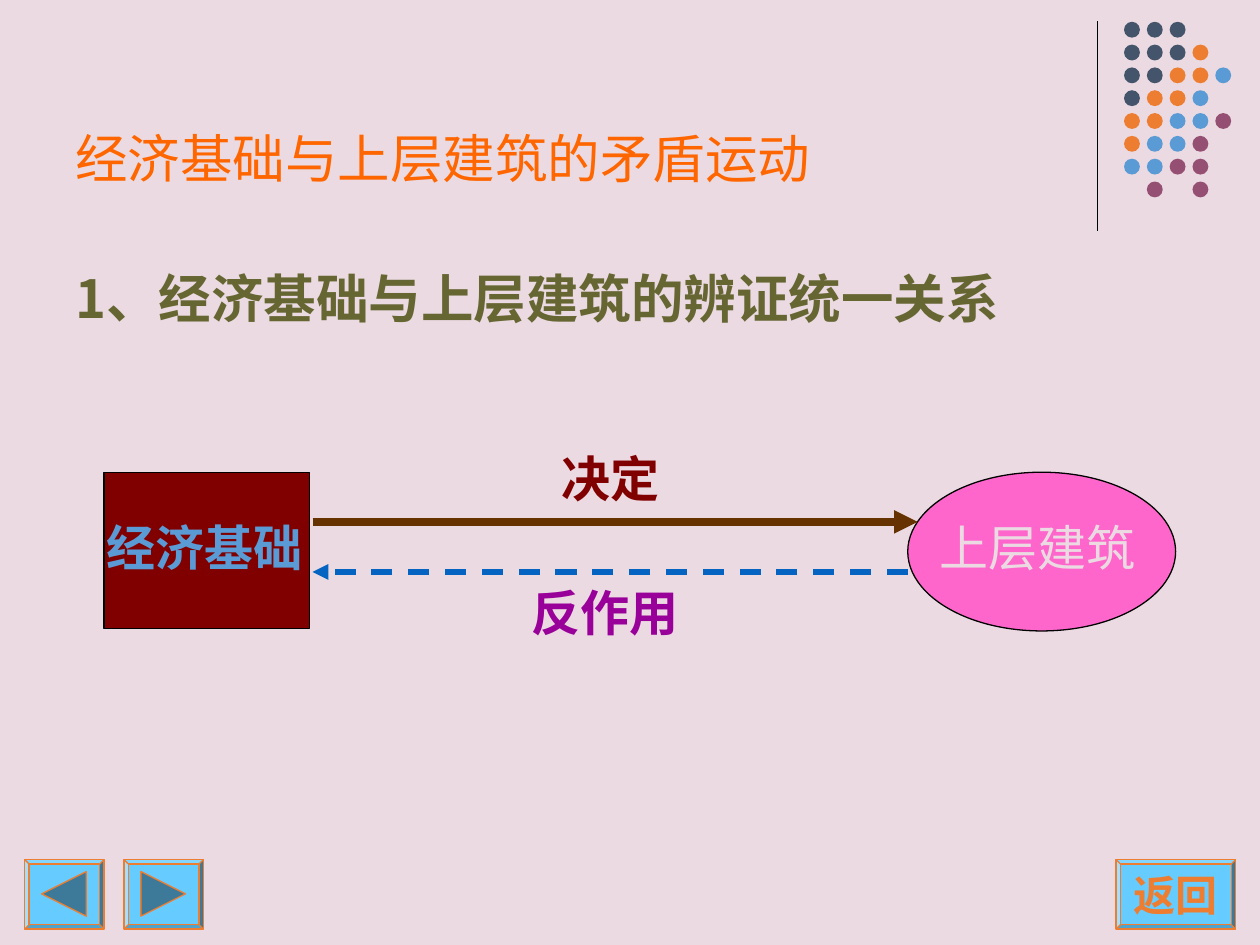
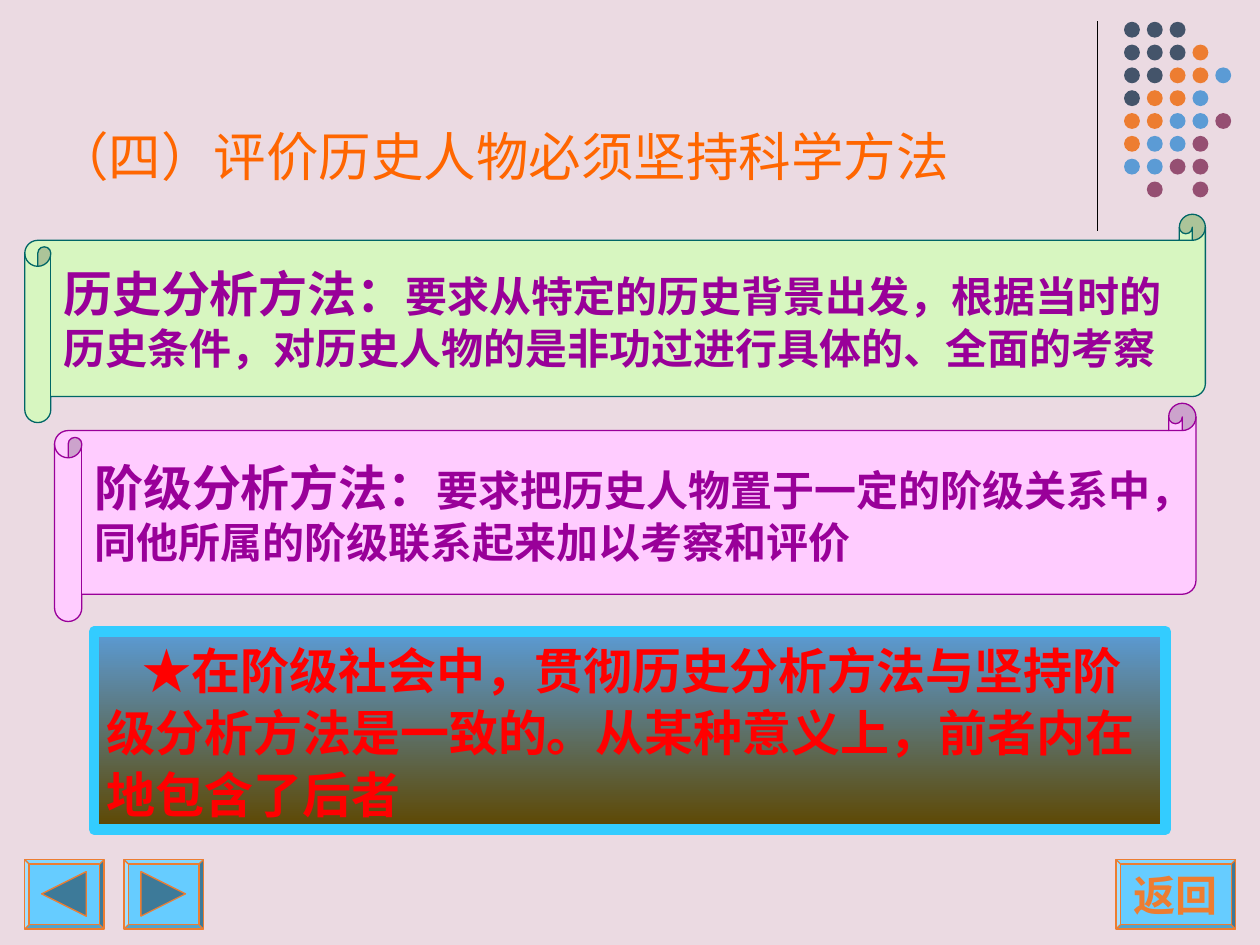
from lxml import etree
from pptx import Presentation
from pptx.dml.color import RGBColor
from pptx.enum.dml import MSO_LINE
from pptx.enum.shapes import MSO_CONNECTOR, MSO_SHAPE
from pptx.enum.text import MSO_ANCHOR, PP_ALIGN
from pptx.oxml.ns import qn
from pptx.util import Cm, Pt

DASH = MSO_LINE.DASH
STRAIGHT = MSO_CONNECTOR.STRAIGHT
RECT, OVAL, BEVEL = MSO_SHAPE.RECTANGLE, MSO_SHAPE.OVAL, MSO_SHAPE.BEVEL
SCROLL, WEDGE = MSO_SHAPE.HORIZONTAL_SCROLL, MSO_SHAPE.ISOSCELES_TRIANGLE
TOP, MIDDLE, BOTTOM = MSO_ANCHOR.TOP, MSO_ANCHOR.MIDDLE, MSO_ANCHOR.BOTTOM
LEFT, CENTER = PP_ALIGN.LEFT, PP_ALIGN.CENTER

PAPER = RGBColor(0xEB, 0xDA, 0xE2)
BLACK = RGBColor(0x00, 0x00, 0x00)
NAVY = RGBColor(0x44, 0x54, 0x6A)
ORANGE = RGBColor(0xED, 0x7D, 0x31)
BLUE = RGBColor(0x5B, 0x9B, 0xD5)
PLUM = RGBColor(0x95, 0x4F, 0x72)
SKY = RGBColor(0x66, 0xCC, 0xFF)
STEEL = RGBColor(0x3D, 0x7A, 0x99)
FLAME = RGBColor(0xFF, 0x66, 0x00)
OLIVE = RGBColor(0x66, 0x66, 0x33)
MAROON = RGBColor(0x80, 0x00, 0x00)
PINK = RGBColor(0xFF, 0x66, 0xCC)
PURPLE = RGBColor(0x99, 0x00, 0x99)
BROWN = RGBColor(0x66, 0x33, 0x00)
COBALT = RGBColor(0x05, 0x63, 0xC1)
MINT = RGBColor(0xD7, 0xF6, 0xC0)
TEAL = RGBColor(0x00, 0x66, 0x66)
LILAC = RGBColor(0xFF, 0xCC, 0xFF)
AZURE = RGBColor(0x33, 0xCC, 0xFF)
EARTH = RGBColor(0x5E, 0x47, 0x00)
RED = RGBColor(0xFF, 0x00, 0x00)

SANS, HAN, SERIF = "Arial", "Noto Sans CJK SC", "Times New Roman"
KANJI = "Noto Sans CJK JP"
DOTS = ("NNN", "NNNO", "NNOOB", "NOOB", "OOBBP", "OBBP", "BBPP", " P P")
HUES = {"N": NAVY, "O": ORANGE, "B": BLUE, "P": PLUM}


class Deck:
    """Holds the shared style and the slide being drawn."""

    def __init__(self):
        self.show = Presentation()
        self.show.slide_width, self.show.slide_height = Cm(25.4), Cm(19.05)
        self.slide = None

    def begin(self, title, box):
        self.slide = self.show.slides.add_slide(self.show.slide_layouts[6])
        fill = self.slide.background.fill
        fill.solid()
        fill.fore_color.rgb = PAPER
        self.line((22.12, 0.43), (22.12, 4.65), BLACK, 0.75)
        self.dots()
        self.button(0.5, 1.6, turn=-90)
        self.button(2.5, 1.6, turn=90)
        back = self.button(22.5, 2.41)
        self.label(back.text_frame, ["返回"], 24, KANJI, ORANGE,
                   align=CENTER, anchor=MIDDLE, wrap=False)
        self.text(title, box, 30, SANS, FLAME, bold=False, anchor=BOTTOM)

    def dots(self):
        for row, marks in enumerate(DOTS):
            for col, mark in enumerate(marks):
                if mark in HUES:
                    box = (22.66 + 0.46 * col, 0.44 + 0.46 * row, 0.32, 0.32)
                    self.shape(OVAL, box, HUES[mark])

    def button(self, left, width, turn=None):
        face = self.shape(BEVEL, (left, 17.33, width, 1.4), SKY, ORANGE)
        face.adjustments[0] = 0.0625
        if turn:
            wedge = self.shape(WEDGE, (left + 0.34, 17.57, 0.9, 0.9),
                               STEEL, ORANGE)
            wedge.rotation = turn
        return face

    def shape(self, kind, box, fill, edge=None, width=0.75):
        item = self.slide.shapes.add_shape(kind, *map(Cm, box))
        item.shadow.inherit = False
        if isinstance(fill, RGBColor):
            item.fill.solid()
            item.fill.fore_color.rgb = fill
        else:
            item.fill.gradient()
            item.fill.gradient_angle = 270
            for stop, color in zip(item.fill.gradient_stops, fill):
                stop.color.rgb = color
        if edge is None:
            item.line.fill.background()
        else:
            item.line.color.rgb = edge
            item.line.width = Pt(width)
        return item

    def line(self, start, end, color, width, dash=None, arrow=False):
        item = self.slide.shapes.add_connector(
            STRAIGHT, *map(Cm, start + end))
        item.line.color.rgb = color
        item.line.width = Pt(width)
        if dash:
            item.line.dash_style = dash
        props = item._element.spPr
        if arrow:
            etree.SubElement(props.find(qn("a:ln")), qn("a:tailEnd"),
                             type="triangle")
        etree.SubElement(props, qn("a:effectLst"))

    def text(self, words, box, size, font, color, **look):
        item = self.slide.shapes.add_textbox(*map(Cm, box))
        self.label(item.text_frame, [words], size, font, color, **look)

    def label(self, frame, lines, size, font, color, bold=True, align=LEFT,
              anchor=TOP, wrap=True, space=None, indent=0):
        frame.word_wrap = wrap
        frame.vertical_anchor = anchor
        frame.text = "\n".join(lines)
        for para in frame.paragraphs:
            para.alignment = align
            if space:
                para.line_spacing = space
            if indent:
                para._p.get_or_add_pPr().set("indent", str(Cm(indent)))
            for run in para.runs:
                self.style(run, size, font, color, bold)

    def style(self, run, size, font, color, bold=True):
        run.font.size = Pt(size)
        run.font.name = font
        run.font.bold = bold
        run.font.color.rgb = color
        east = KANJI if font == KANJI else HAN
        etree.SubElement(run._r.get_or_add_rPr(), qn("a:ea"), typeface=east)

    def scroll(self, box, fill, edge, head, lines):
        item = self.shape(SCROLL, box, fill, edge)
        item.adjustments[0] = 0.125
        frame = item.text_frame
        self.label(frame, [head] + lines[1:], 28, HAN, PURPLE,
                   anchor=MIDDLE, wrap=False)
        for run in frame.paragraphs[1].runs:
            run.font.size = Pt(24)
        rest = frame.paragraphs[0].add_run()
        rest.text = lines[0]
        self.style(rest, 24, HAN, PURPLE)


def relate(deck):
    deck.begin("经济基础与上层建筑的矛盾运动", (1.27, 0.33, 20.95, 3.6))
    deck.text("1、经济基础与上层建筑的辨证统一关系",
              (1.27, 5.23, 22.86, 11.81), 30, HAN, OLIVE)
    deck.shape(RECT, (2.1, 9.52, 4.14, 3.15), MAROON, BLACK)
    deck.shape(OVAL, (18.3, 9.52, 5.4, 3.2), PINK, BLACK)
    deck.text("经济基础", (1.9, 10.3, 4.6, 1.45), 28, SERIF, BLUE)
    deck.text("上层建筑", (18.7, 10.3, 4.6, 1.45), 28, SERIF, PAPER,
              bold=False)
    deck.text("决定", (7.1, 8.92, 10.4, 1.45), 28, SERIF, MAROON,
              align=CENTER)
    deck.text("反作用", (6.9, 11.9, 10.6, 1.15), 28, SERIF, PURPLE,
              align=CENTER, space=0.75)
    deck.line((6.3, 10.52), (18.5, 10.52), BROWN, 4.5, arrow=True)
    deck.line((18.3, 11.53), (6.3, 11.53), COBALT, 3, DASH, True)


def judge(deck):
    deck.begin("（四）评价历史人物必须坚持科学方法", (0.89, 0.71, 23.01, 3.18))
    deck.scroll((0.5, 4.32, 23.8, 4.2), MINT, TEAL, "历史分析方法：",
                ["要求从特定的历史背景出发，根据当时的",
                 "历史条件，对历史人物的是非功过进行具体的、全面的考察"])
    deck.scroll((1.1, 8.13, 23.01, 4.4), LILAC, PURPLE, "阶级分析方法：",
                ["要求把历史人物置于一定的阶级关系中，",
                 "同他所属的阶级联系起来加以考察和评价"])
    panel = deck.shape(RECT, (1.9, 12.73, 21.6, 3.99), (BLUE, EARTH),
                       AZURE, 6)
    deck.label(panel.text_frame,
               ["★在阶级社会中，贯彻历史分析方法与坚持阶级分析方法是一致的。"
                "从某种意义上，前者内在地包含了后者"],
               28, HAN, RED, space=1.05, indent=0.73)


def main():
    deck = Deck()
    relate(deck)
    judge(deck)
    deck.show.save("out.pptx")


if __name__ == "__main__":
    main()
